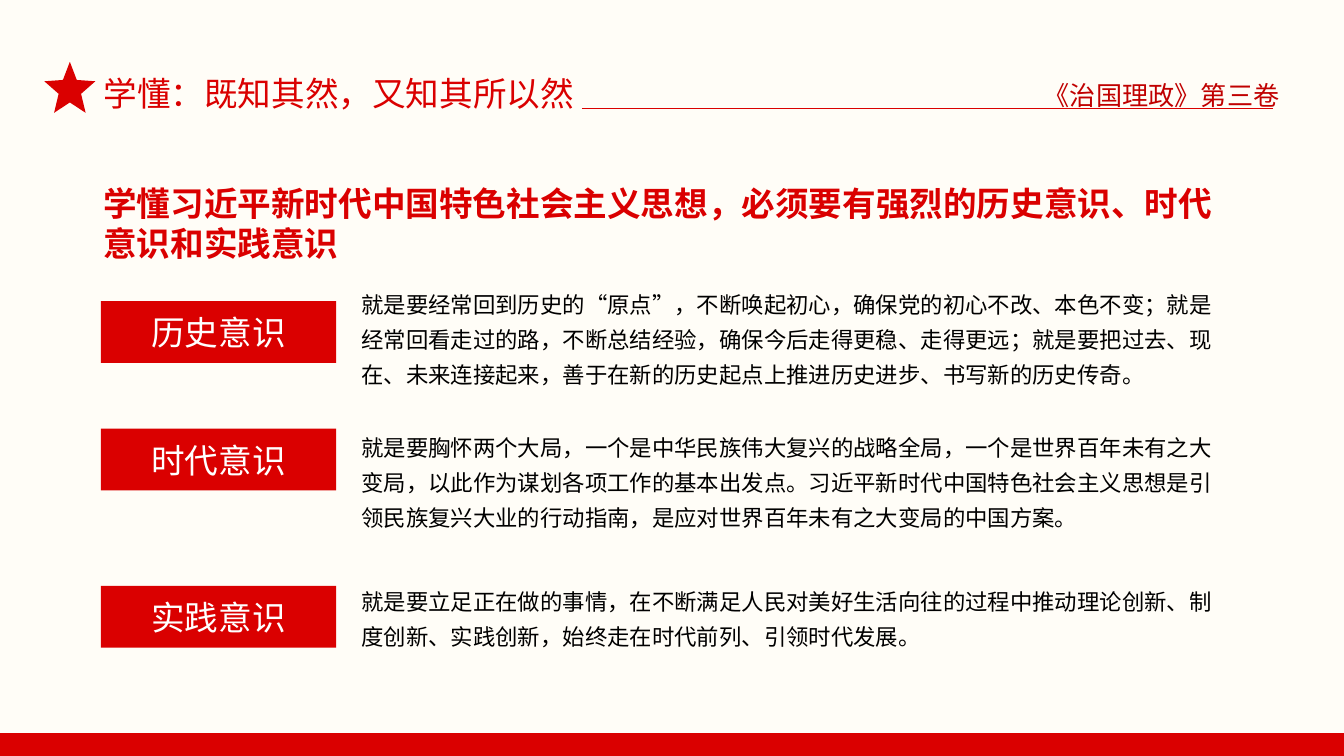
from lxml.etree import SubElement
from pptx import Presentation
from pptx.dml.color import RGBColor
from pptx.enum.shapes import MSO_CONNECTOR, MSO_SHAPE
from pptx.enum.text import MSO_ANCHOR, MSO_AUTO_SIZE, PP_ALIGN
from pptx.oxml.ns import qn
from pptx.util import Inches, Pt

RED = RGBColor(0xDA, 0x00, 0x00)
DARK = RGBColor(0xC0, 0x00, 0x00)
CREAM = RGBColor(0xFF, 0xFD, 0xF7)
WHITE = RGBColor(0xFF, 0xFF, 0xFF)
BLACK = RGBColor(0x00, 0x00, 0x00)
SANS = "Noto Sans CJK SC"
LATIN = "Arial"
COLS, ROWS = 40, 22.5

TITLE = "学懂：既知其然，又知其所以然"
BOOK = "《治国理政》第三卷"
LEAD = "学懂习近平新时代中国特色社会主义思想，必须要有强烈的历史意识、时代意识和实践意识"
ITEMS = [
    ("历史意识", 8.96, 8.24, 3.44,
     "就是要经常回到历史的“原点”，不断唤起初心，确保党的初心不改、本色不变；就是经常回看走过的路，"
     "不断总结经验，确保今后走得更稳、走得更远；就是要把过去、现在、未来连接起来，"
     "善于在新的历史起点上推进历史进步、书写新的历史传奇。"),
    ("时代意识", 12.76, 12.48, 3.56,
     "就是要胸怀两个大局，一个是中华民族伟大复兴的战略全局，一个是世界百年未有之大变局，"
     "以此作为谋划各项工作的基本出发点。习近平新时代中国特色社会主义思想是引领民族复兴大业的行动指南，"
     "是应对世界百年未有之大变局的中国方案。"),
    ("实践意识", 17.44, 17.08, 2.52,
     "就是要立足正在做的事情，在不断满足人民对美好生活向往的过程中推动理论创新、制度创新、实践创新，"
     "始终走在时代前列、引领时代发展。"),
]


def write(shape, text, size=12, color=BLACK, font=SANS, bold=False,
          align=PP_ALIGN.LEFT, anchor=MSO_ANCHOR.TOP, wrap=True, space=1.0):
    frame = shape.text_frame
    frame.auto_size = MSO_AUTO_SIZE.NONE
    frame.word_wrap = wrap
    frame.vertical_anchor = anchor
    para = frame.paragraphs[0]
    para.alignment = align
    para.line_spacing = space
    run = para.add_run()
    run.text = text
    run.font.size = Pt(size)
    run.font.bold = bold
    run.font.color.rgb = color
    run.font.name = font
    SubElement(run.font._element, qn("a:ea")).set("typeface", SANS)


class Deck:
    def __init__(self):
        self.prs = Presentation()
        self.prs.slide_width = Inches(10)
        self.prs.slide_height = Inches(5.625)
        self.slide = self.prs.slides.add_slide(self.prs.slide_layouts[5])
        fill = self.slide.background.fill
        fill.solid()
        fill.fore_color.rgb = CREAM

    def x(self, col):
        return round(self.prs.slide_width * col / COLS)

    def y(self, row):
        return round(self.prs.slide_height * row / ROWS)

    def area(self, col, row, wide, high):
        return self.x(col), self.y(row), self.x(wide), self.y(high)

    def title(self, text, *grid, **style):
        shape = self.slide.shapes.title
        shape.left, shape.top, shape.width, shape.height = self.area(*grid)
        write(shape, text, **style)

    def text(self, text, *grid, **style):
        write(self.slide.shapes.add_textbox(*self.area(*grid)), text, **style)

    def shape(self, kind, *grid, adjust=None):
        shape = self.slide.shapes.add_shape(kind, *self.area(*grid))
        shape.shadow.inherit = False
        shape.fill.solid()
        shape.fill.fore_color.rgb = RED
        shape.line.fill.background()
        if adjust is not None:
            shape.adjustments[0] = adjust
        return shape

    def label(self, text, *grid):
        shape = self.shape(MSO_SHAPE.ROUNDED_RECTANGLE, *grid, adjust=0)
        frame = shape.text_frame
        frame.margin_left = frame.margin_right = Inches(0.13)
        frame.margin_top = frame.margin_bottom = Inches(0.07)
        write(shape, text, size=18, color=WHITE,
              align=PP_ALIGN.CENTER, anchor=MSO_ANCHOR.MIDDLE)

    def rule(self, start, end, row):
        line = self.slide.shapes.add_connector(
            MSO_CONNECTOR.STRAIGHT,
            self.x(start), self.y(row), self.x(end), self.y(row))
        line.line.color.rgb = RED
        line.line.width = Pt(0.5)
        SubElement(line._element.spPr, qn("a:effectLst"))


def main():
    deck = Deck()
    deck.title(TITLE, 2.68, 1.96, 14.96, 1.6,
               size=18, color=RED, font=LATIN, wrap=False)
    deck.text(BOOK, 30.6, 2.16, 7.88, 1.36,
              size=14, color=DARK, align=PP_ALIGN.RIGHT, wrap=False)
    deck.shape(MSO_SHAPE.STAR_5_POINT, 1.32, 1.84, 1.52, 1.52, adjust=0.22)
    deck.rule(17.32, 37.88, 3.24)
    deck.shape(MSO_SHAPE.RECTANGLE, 0, 21.82, COLS, 0.68)
    deck.text(LEAD, 2.68, 5.24, 34.68, 2.84,
              size=18, color=RED, font=LATIN, bold=True)
    for name, row, top, high, body in ITEMS:
        deck.label(name, 3, row, 7, 1.84)
        deck.text(body, 10.36, top, 26.28, high, space=1.3)
    deck.prs.save("out.pptx")


if __name__ == "__main__":
    main()
